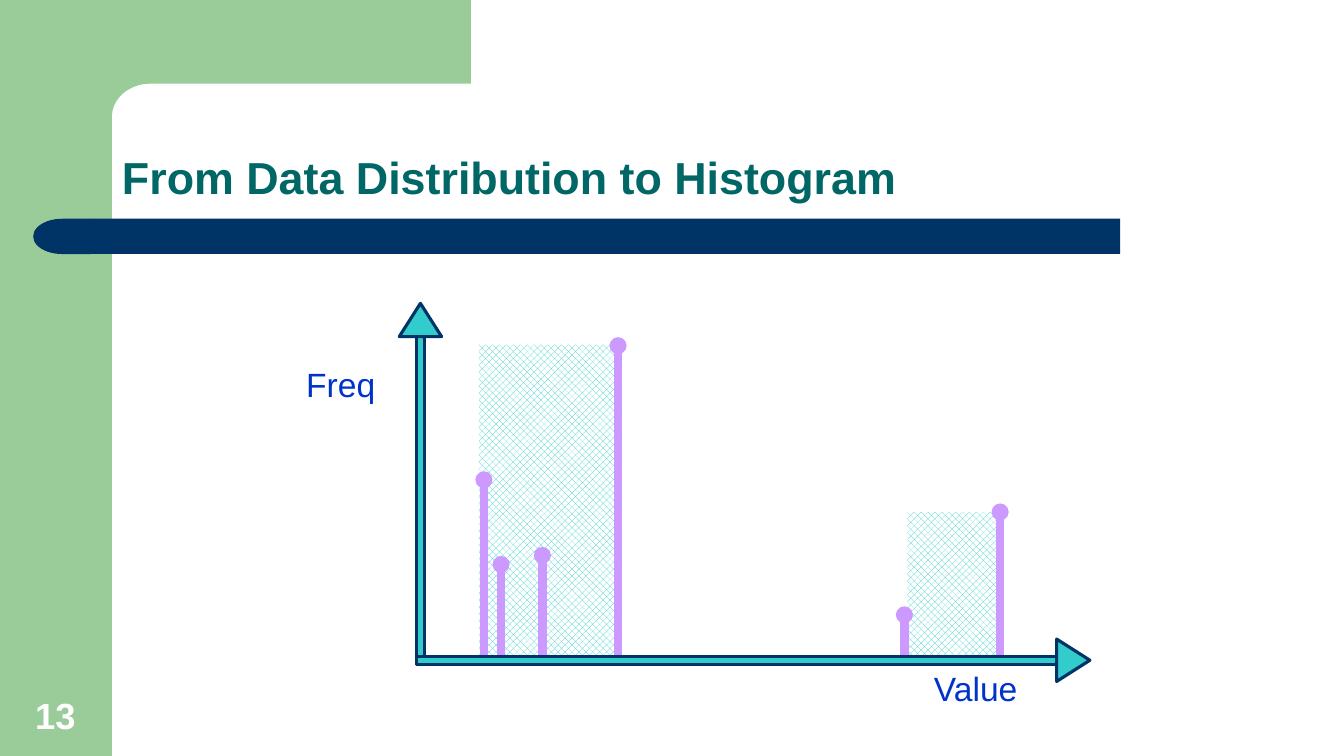
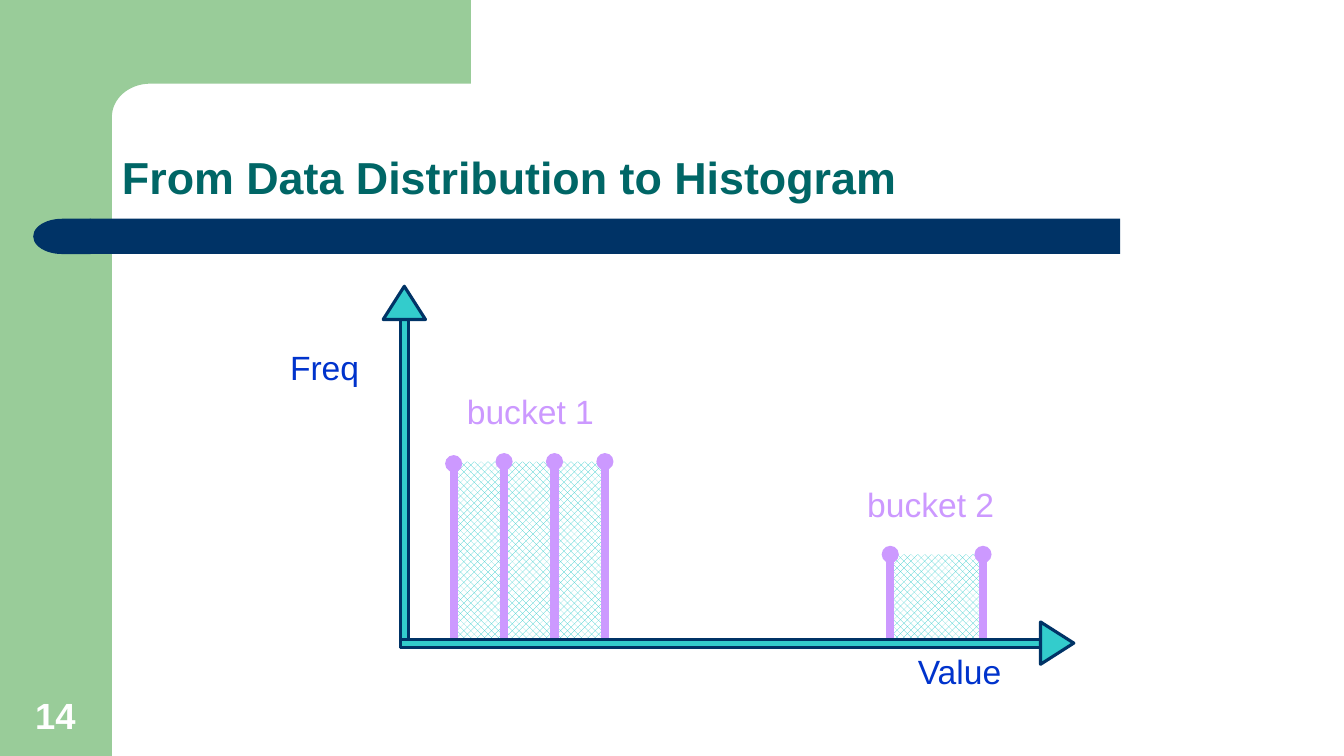
from dataclasses import dataclass
from math import cos, pi, sin

from lxml.etree import SubElement
from pptx import Presentation
from pptx.dml.color import RGBColor
from pptx.enum.dml import MSO_PATTERN
from pptx.enum.shapes import MSO_CONNECTOR, MSO_SHAPE as SHAPE
from pptx.enum.text import MSO_ANCHOR as ANCHOR, MSO_AUTO_SIZE as FIT, PP_ALIGN as ALIGN
from pptx.oxml.ns import qn
from pptx.util import Inches, Pt


@dataclass(frozen=True)
class Theme:
    font: str = "Arial"
    panel: str = "99CC99"
    navy: str = "003366"
    title: str = "006666"
    label: str = "0033CC"
    teal: str = "33CCCC"
    lilac: str = "CC99FF"
    white: str = "FFFFFF"
    title_size: int = 32
    number_size: int = 26
    label_size: int = 24
    axis_line: float = 2.25
    stem_line: float = 6


T = Theme()
TITLE = "From Data Distribution to Histogram"
DOT = 0.17
AXIS = 0.08
HEAD_W, HEAD_H = 0.42, 0.33
Y_LENGTH, X_LENGTH = 3.25, 6.35

# origin: where the axes cross; buckets: left, top, width
# stems: x, top; labels: text, left, top, width
SLIDES = [
    dict(
        number="13",
        origin=(4.17, 6.55),
        buckets=[(9, 5.08, 0.92), (4.75, 3.42, 1.42)],
        stems=[(4.8, 4.76), (4.97, 5.6), (5.38, 5.51), (6.13, 3.43),
               (8.97, 6.1), (9.92, 5.08)],
        labels=[],
    ),
    dict(
        number="14",
        origin=(4.01, 6.38),
        buckets=[(8.83, 5.5, 0.92), (4.5, 4.58, 1.5)],
        stems=[(4.5, 4.6), (5, 4.58), (5.5, 4.58), (6, 4.58),
               (8.83, 5.5), (9.75, 5.5)],
        labels=[("bucket 1", 4.53, 3.83, 1.46), ("bucket 2", 8.5, 4.75, 1.46)],
    ),
]


def rgb(color):
    return RGBColor.from_string(color)


def paint(sp, fill, line=None):
    sp.shadow.inherit = False
    sp.fill.solid()
    sp.fill.fore_color.rgb = rgb(fill)
    if line:
        sp.line.color.rgb = rgb(line)
        sp.line.width = Pt(T.axis_line)
    else:
        sp.line.fill.background()
    return sp


def add_shape(slide, kind, box, fill, line=None):
    return paint(slide.shapes.add_shape(kind, *map(Inches, box)), fill, line)


def style(p, size, color, bold=False):
    for r in p.runs:
        r.font.name = T.font
        r.font.size = Pt(size)
        r.font.bold = bold
        r.font.color.rgb = rgb(color)


def add_label(slide, text, left, top, width, color):
    tf = slide.shapes.add_textbox(*map(Inches, (left, top, width, 0.5))).text_frame
    tf.word_wrap = False
    tf.auto_size = FIT.SHAPE_TO_FIT_TEXT
    tf.text = text
    tf.paragraphs[0].alignment = ALIGN.RIGHT
    style(tf.paragraphs[0], T.label_size, color)


def add_frame(layout, slide):
    """Draw the green panel and the navy bar, then move them to the layout."""
    panel = add_shape(slide, SHAPE.RECTANGLE, (0, 0, 1.11, 7.5), T.panel)
    steps = 16
    angles = [pi / 2 * i / steps for i in range(steps + 1)]
    corner = [(1.49 - 0.38 * sin(a), 1.16 - 0.33 * cos(a)) for a in angles]
    outline = [(4.67, 0), (4.67, 0.83), *corner, (1.11, 1.28), (0.67, 1.28), (0.67, 0)]
    points = [(Inches(x), Inches(y)) for x, y in outline]
    builder = slide.shapes.build_freeform(*points[0])
    builder.add_line_segments(points[1:], close=True)
    top = paint(builder.convert_to_shape(), T.panel)
    bar = add_shape(slide, SHAPE.RECTANGLE, (0.89, 2.17, 10.22, 0.35), T.navy)
    cap = add_shape(slide, SHAPE.FLOWCHART_DELAY, (0.33, 2.17, 0.57, 0.35), T.navy)
    cap.element.spPr.find(qn("a:xfrm")).set("flipH", "1")
    for i, sp in enumerate((panel, top, bar, cap)):
        layout.shapes.element.insert(2 + i, sp.element)


def place_title(layout):
    title = layout.placeholders[0]
    title.left, title.top, title.width, title.height = map(
        Inches, (1.11, 0.83, 11.56, 1.25))


def add_heading(slide, number):
    tf = slide.shapes.title.text_frame
    tf.text = TITLE
    tf.vertical_anchor = ANCHOR.BOTTOM
    tf.auto_size = FIT.NONE
    p = tf.paragraphs[0]
    p.alignment = ALIGN.LEFT
    p.line_spacing = 0.9
    style(p, T.title_size, T.title, bold=True)

    box = slide.shapes.add_textbox(*map(Inches, (0.12, 6.83, 0.86, 0.53)))
    tf = box.text_frame
    tf.word_wrap = True
    tf.vertical_anchor = ANCHOR.BOTTOM
    tf.text = number
    p = tf.paragraphs[0]
    p.alignment = ALIGN.CENTER
    style(p, T.number_size, T.white, bold=True)


def add_axes(slide, x, y):
    half = AXIS / 2
    tip_y = y + half - Y_LENGTH
    tip_x = x - half + X_LENGTH
    add_shape(slide, SHAPE.RECTANGLE, (x - half, tip_y, AXIS, Y_LENGTH), T.teal, T.navy)
    add_shape(slide, SHAPE.ISOSCELES_TRIANGLE,
              (x - HEAD_W / 2, tip_y - HEAD_H, HEAD_W, HEAD_H), T.teal, T.navy)
    add_shape(slide, SHAPE.RECTANGLE, (x - half, y - half, X_LENGTH, AXIS), T.teal, T.navy)
    head = add_shape(slide, SHAPE.ISOSCELES_TRIANGLE,
                     (tip_x + (HEAD_H - HEAD_W) / 2, y - HEAD_H / 2, HEAD_W, HEAD_H),
                     T.teal, T.navy)
    head.rotation = 90
    add_label(slide, "Freq", x - 1.24, y - 2.99, 0.89, T.label)
    add_label(slide, "Value", x + 4.96, y + 0.03, 1.06, T.label)


def add_bucket(slide, left, top, width, base):
    sp = add_shape(slide, SHAPE.RECTANGLE, (left, top, width, base - top), T.white)
    sp.fill.patterned()
    sp.fill.pattern = MSO_PATTERN.PERCENT_50
    sp.fill.fore_color.rgb = rgb(T.teal)
    sp.fill.back_color.rgb = rgb(T.white)


def add_stem(slide, x, top, base):
    stem = slide.shapes.add_connector(
        MSO_CONNECTOR.STRAIGHT, *map(Inches, (x, base, x, top)))
    stem.line.color.rgb = rgb(T.lilac)
    stem.line.width = Pt(T.stem_line)
    SubElement(stem.element.spPr, qn("a:effectLst"))
    add_shape(slide, SHAPE.OVAL, (x - DOT / 2, top - DOT / 2, DOT, DOT), T.lilac)


def main():
    prs = Presentation()
    prs.slide_width, prs.slide_height = Inches(13.33), Inches(7.5)
    layout = prs.slide_layouts[5]
    place_title(layout)
    for i, data in enumerate(SLIDES):
        slide = prs.slides.add_slide(layout)
        if i == 0:
            add_frame(layout, slide)
        add_heading(slide, data["number"])
        x, y = data["origin"]
        base = y - 0.05
        for bucket in data["buckets"]:
            add_bucket(slide, *bucket, base)
        add_axes(slide, x, y)
        for stem in data["stems"]:
            add_stem(slide, *stem, base)
        for label in data["labels"]:
            add_label(slide, *label, T.lilac)
    prs.save("out.pptx")


if __name__ == "__main__":
    main()
